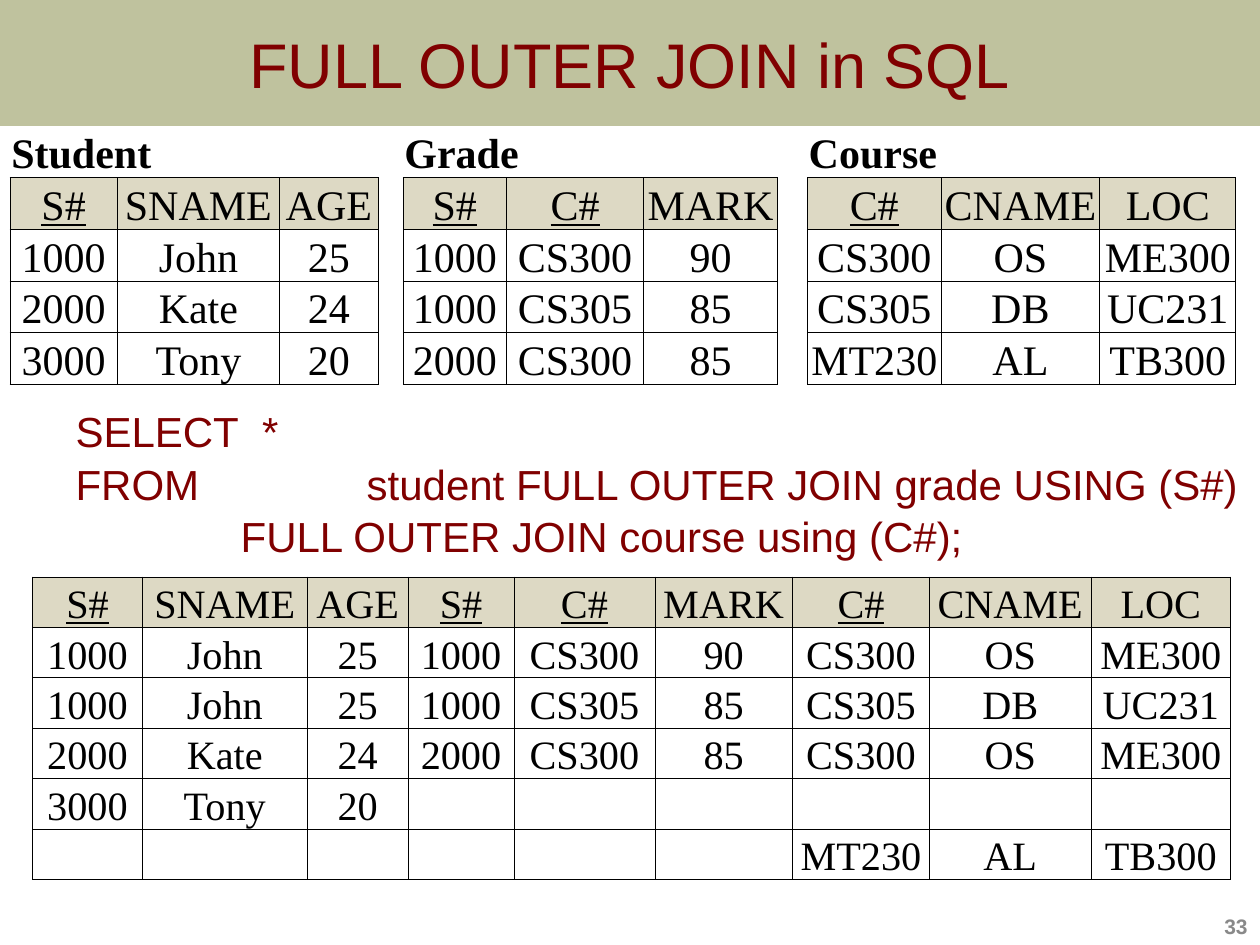
from lxml.etree import SubElement
from pptx import Presentation
from pptx.dml.color import RGBColor
from pptx.enum.text import MSO_ANCHOR as Anchor, MSO_AUTO_SIZE as AutoSize, PP_ALIGN as Align
from pptx.oxml import parse_xml
from pptx.oxml.ns import qn
from pptx.util import Inches, Pt

MAROON, BLACK, WHITE, HEADER = "800000", "000000", "FFFFFF", "DDD9C4"
KEYS = {"S#", "C#"}
NO_STYLE = "{2D5ABB26-0587-4C30-8999-92F81FD0307C}"
NAMESPACE = "http://schemas.openxmlformats.org/drawingml/2006/main"

# Source relations: name, column widths, rows with the header first
RELATIONS = [
    ("Student", [0.85, 1.29, 0.78],
     [("S#", "SNAME", "AGE"), ("1000", "John", "25"),
      ("2000", "Kate", "24"), ("3000", "Tony", "20")]),
    ("Grade", [0.82, 1.09, 1.06],
     [("S#", "C#", "MARK"), ("1000", "CS300", "90"),
      ("1000", "CS305", "85"), ("2000", "CS300", "85")]),
    ("Course", [1.06, 1.26, 1.08],
     [("C#", "CNAME", "LOC"), ("CS300", "OS", "ME300"),
      ("CS305", "DB", "UC231"), ("MT230", "AL", "TB300")]),
]
GAPS = [0.2, 0.24]

# Joined rows: which row of each relation takes part (None where unmatched)
JOINED = [(0, 0, 0), (1, 1, 1), (1, 2, 2), (2, 3, 1), (3, None, None), (None, None, 3)]
JOINED_WIDTHS = [0.87, 1.31, 0.8, 0.84, 1.12, 1.09, 1.09, 1.28, 1.11]

# Query lines: text, left margin, first-line indent (a tab jumps to the margin)
QUERY = [
    ("SELECT\t*", 1.98, -1.48),
    ("FROM\tstudent FULL OUTER JOIN grade USING (S#)", 2.81, -2.31),
    ("FULL OUTER JOIN course using (C#);", 1.81, 0),
]


def color(value):
    return RGBColor.from_string(value)


def place(part, left, top, width, height):
    part.left, part.top = Inches(left), Inches(top)
    part.width, part.height = Inches(width), Inches(height)


def add_run(paragraph, text, size, font, ink, bold=False, underline=False):
    run = paragraph.add_run()
    run.text = text
    run.font.size, run.font.name = Pt(size), font
    run.font.bold, run.font.underline = bold, underline
    run.font.color.rgb = color(ink)


def add_title(slide, box):
    title = slide.shapes.title
    place(title, *box)
    title.fill.solid()
    title.fill.fore_color.rgb = color("6E7524")
    fill_color = title._element.spPr.find(".//" + qn("a:srgbClr"))
    SubElement(fill_color, qn("a:alpha"), val="44000")
    frame = title.text_frame
    frame.vertical_anchor = Anchor.MIDDLE
    frame.paragraphs[0].alignment = Align.CENTER
    add_run(frame.paragraphs[0], "FULL OUTER JOIN in SQL", 36, "Arial", MAROON)


def add_query(slide, box):
    query = slide.placeholders[1]
    place(query, *box)
    frame = query.text_frame
    frame.auto_size = AutoSize.NONE
    frame.vertical_anchor = Anchor.TOP
    frame.margin_right = 0
    for index, (text, margin, indent) in enumerate(QUERY):
        line = frame.add_paragraph() if index else frame.paragraphs[0]
        line.level = 1
        line.space_before = Pt(1.25)
        properties = line._p.get_or_add_pPr()
        properties.set("marL", str(Inches(margin)))
        properties.set("indent", str(Inches(indent)))
        SubElement(properties, qn("a:buNone"))
        add_run(line, text, 24, "Arial", MAROON)


def add_page_number(slide, box):
    number = slide.shapes.add_textbox(*map(Inches, box))
    frame = number.text_frame
    frame.word_wrap = True
    frame.vertical_anchor = Anchor.BOTTOM
    frame.paragraphs[0].alignment = Align.RIGHT
    add_run(frame.paragraphs[0], "33", 12, "Arial", "898989", bold=True)


def set_borders(cell, sides):
    properties = cell._tc.get_or_add_tcPr()
    for position, side in enumerate("LRTB"):
        paint = f'<a:solidFill><a:srgbClr val="{BLACK}"/></a:solidFill>' if side in sides else "<a:noFill/>"
        properties.insert(position, parse_xml(
            f'<a:ln{side} xmlns:a="{NAMESPACE}" w="{Pt(0.5)}">{paint}</a:ln{side}>'))


def fill_cell(cell, text, size, fill=WHITE, sides="LRTB", align=Align.CENTER, bold=False):
    cell.fill.solid()
    cell.fill.fore_color.rgb = color(fill)
    set_borders(cell, sides)
    cell.vertical_anchor = Anchor.BOTTOM
    cell.margin_left = cell.margin_right = cell.margin_top = Inches(0.01)
    cell.margin_bottom = 0
    if text:
        paragraph = cell.text_frame.paragraphs[0]
        paragraph.alignment = align
        add_run(paragraph, text, size, "Times New Roman", BLACK, bold, text in KEYS)


def add_plain_table(slide, left, top, widths, row_count, row_height):
    frame = slide.shapes.add_table(row_count, len(widths), Inches(left), Inches(top),
                                   Inches(sum(widths)), Inches(row_count * row_height))
    table = frame.table
    table.first_row = table.horz_banding = False
    table._tbl.tblPr.find(qn("a:tableStyleId")).text = NO_STYLE
    for column, width in zip(table.columns, widths):
        column.width = Inches(width)
    for row in table.rows:
        row.height = Inches(row_height)
    return table


def add_joined_table(slide, left, top):
    table = add_plain_table(slide, left, top, JOINED_WIDTHS, len(JOINED), 0.4)
    for r, picks in enumerate(JOINED):
        values = []
        for (_, _, rows), pick in zip(RELATIONS, picks):
            values += [""] * 3 if pick is None else rows[pick]
        for c, value in enumerate(values):
            fill_cell(table.cell(r, c), value, 23, WHITE if r else HEADER)


def add_relations_table(slide, left, top):
    widths = list(RELATIONS[0][1])
    for gap, (_, group_widths, _) in zip(GAPS, RELATIONS[1:]):
        widths += [gap, *group_widths]
    table = add_plain_table(slide, left, top, widths, 5, 0.38)
    for group, (name, _, rows) in enumerate(RELATIONS):
        first = group * 4
        # Relation name across its columns
        for c in range(first, first + 3):
            fill_cell(table.cell(0, c), name if c == first else "", 24,
                      sides="B", align=Align.LEFT, bold=True)
        table.cell(0, first).merge(table.cell(0, first + 2))
        # Header and data
        for r, values in enumerate(rows, 1):
            for c, value in enumerate(values, first):
                fill_cell(table.cell(r, c), value, 24, HEADER if r == 1 else WHITE)
        # Gap column before the next relation
        if group < len(GAPS):
            for r in range(5):
                fill_cell(table.cell(r, first + 3), "", 24, sides="LR" if r else "")


def main():
    deck = Presentation()
    deck.slide_width, deck.slide_height = Inches(10), Inches(7.5)
    slide = deck.slides.add_slide(deck.slide_layouts[1])
    add_title(slide, (0, 0, 10, 1))
    add_query(slide, (0, 3.17, 10, 1.48))
    add_page_number(slide, (7.92, 7, 2.08, 0.5))
    add_joined_table(slide, 0.26, 4.58)
    add_relations_table(slide, 0.08, 1)
    deck.save("out.pptx")


if __name__ == "__main__":
    main()
